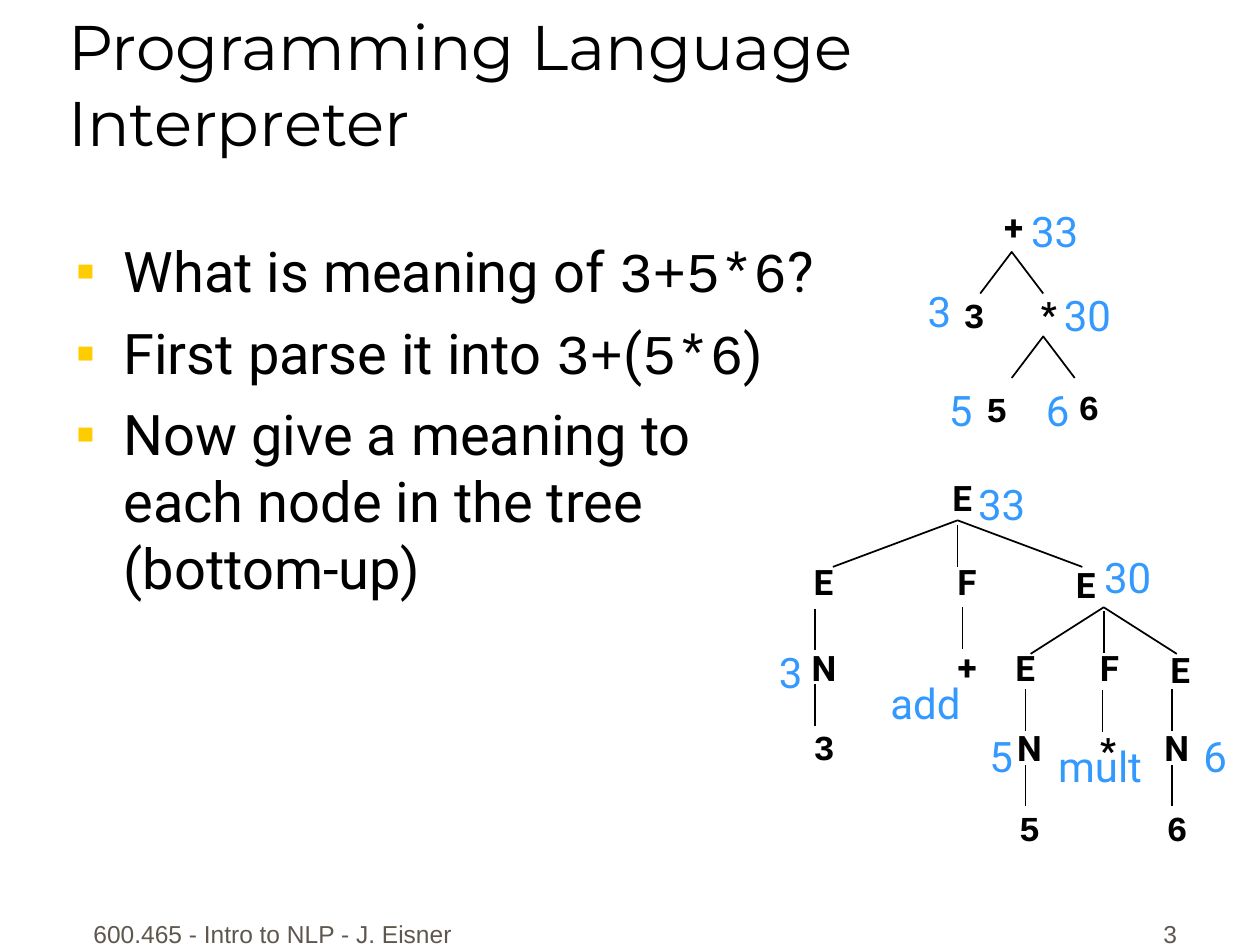
from dataclasses import dataclass

from lxml.etree import SubElement
from pptx import Presentation
from pptx.dml.color import RGBColor
from pptx.enum.shapes import MSO_CONNECTOR
from pptx.enum.text import MSO_ANCHOR, MSO_AUTO_SIZE, PP_ALIGN
from pptx.oxml.ns import qn
from pptx.util import Inches, Pt


@dataclass(frozen=True)
class Theme:
    ink: RGBColor = RGBColor(0x00, 0x00, 0x00)
    meaning: RGBColor = RGBColor(0x33, 0x99, 0xFF)
    footer: RGBColor = RGBColor(0x5E, 0x57, 0x4E)
    bullet: str = "FFCC00"
    title_font: str = "Montserrat"
    body_font: str = "Roboto"
    code_font: str = "Courier New"
    footer_font: str = "Arial"
    title_size: int = 36
    body_size: int = 32
    meaning_size: int = 24
    node_size: int = 20
    footer_size: int = 14


class TreeSlide:
    """Draws the lecture slide's text and parse trees in one theme."""

    def __init__(self, slide, theme):
        self.slide = slide
        self.theme = theme

    def style(self, run, font, size, color, bold=False):
        run.font.name = font
        run.font.size = Pt(size)
        run.font.color.rgb = color
        run.font.bold = bold

    def place(self, shape, left, top, width, height):
        shape.left, shape.top = Inches(left), Inches(top)
        shape.width, shape.height = Inches(width), Inches(height)

    def title(self, wording, *bounds):
        heading = self.slide.shapes.title
        self.place(heading, *bounds)
        frame = heading.text_frame
        frame.text = wording
        frame.vertical_anchor = MSO_ANCHOR.BOTTOM
        frame.auto_size = MSO_AUTO_SIZE.NONE
        line = frame.paragraphs[0]
        line.alignment = PP_ALIGN.LEFT
        self.style(line.runs[0], self.theme.title_font, self.theme.title_size, self.theme.ink)

    def bullets(self, points, *bounds):
        body = self.slide.placeholders[1]
        self.place(body, *bounds)
        frame = body.text_frame
        frame.auto_size = MSO_AUTO_SIZE.NONE
        frame.text = "\n".join("" for _ in points)
        for point, pieces in zip(frame.paragraphs, points):
            self.bullet(point)
            for index, piece in enumerate(pieces):
                font = self.theme.code_font if index % 2 else self.theme.body_font
                for row, wording in enumerate(piece.split("\n")):
                    if row:
                        point.add_line_break()
                    run = point.add_run()
                    run.text = wording
                    self.style(run, font, self.theme.body_size, self.theme.ink)

    def bullet(self, point):
        point.space_before = Pt(8)
        properties = point._p.get_or_add_pPr()
        properties.set("marL", str(Inches(0.38)))
        properties.set("indent", str(Inches(-0.38)))
        color = SubElement(properties, qn("a:buClr"))
        SubElement(color, qn("a:srgbClr"), val=self.theme.bullet)
        SubElement(properties, qn("a:buFont"), typeface="Arial")
        SubElement(properties, qn("a:buChar"), char="▪")

    def label(self, wording, left, top, width, height, font, size, color, bold=False):
        box = self.slide.shapes.add_textbox(*map(Inches, (left, top, width, height)))
        frame = box.text_frame
        frame.text = wording
        frame.word_wrap = False
        frame.auto_size = MSO_AUTO_SIZE.SHAPE_TO_FIT_TEXT
        line = frame.paragraphs[0]
        line.alignment = PP_ALIGN.CENTER
        self.style(line.runs[0], font, size, color, bold)
        return frame

    def node(self, symbol, left, top):
        font = self.theme.code_font if symbol.isdigit() else self.theme.body_font
        width = 0.42 if symbol == "N" else 0.35
        self.label(symbol, left, top, width, 0.44, font,
                   self.theme.node_size, self.theme.ink, True)

    def meaning(self, value, left, top):
        width = {1: 0.39, 2: 0.58, 3: 0.79, 4: 0.92}[len(value)]
        self.label(value, left, top, width, 0.5, self.theme.body_font,
                   self.theme.meaning_size, self.theme.meaning)

    def footer(self, wording, alignment, *bounds):
        frame = self.label(wording, *bounds, self.theme.footer_font,
                           self.theme.footer_size, self.theme.footer)
        frame.word_wrap = True
        frame.auto_size = MSO_AUTO_SIZE.NONE
        frame.vertical_anchor = MSO_ANCHOR.BOTTOM
        frame.paragraphs[0].alignment = alignment

    def branch(self, apex, top, reach, drop):
        pen = self.slide.shapes.build_freeform(Inches(apex - reach), Inches(top + drop))
        pen.add_line_segments(
            [(Inches(apex), Inches(top)), (Inches(apex + reach), Inches(top + drop))],
            close=False)
        fork = pen.convert_to_shape()
        fork.shadow.inherit = False
        fork.fill.background()
        fork.line.color.rgb = self.theme.ink
        fork.line.width = Pt(1)

    def stem(self, x, top):
        edge = self.slide.shapes.add_connector(
            MSO_CONNECTOR.STRAIGHT, Inches(x), Inches(top), Inches(x), Inches(top + 0.33))
        edge.line.color.rgb = self.theme.ink
        edge.line.width = Pt(1)
        SubElement(edge._element.spPr, qn("a:effectLst"))


POINTS = [
    ["What is meaning of ", "3+5*6", "?"],
    ["First parse it into ", "3+", "(", "5*6", ")"],
    ["Now give a meaning to\neach node in the tree\n(bottom-up)"],
]
EXPRESSION_NODES = [("+", 7.87, 1.58), ("3", 7.55, 2.28), ("*", 8.15, 2.27),
                    ("5", 7.73, 3.03), ("6", 8.46, 3.01)]
PARSE_NODES = [
    ("E", 7.46, 3.73), ("E", 6.36, 4.4), ("F", 7.5, 4.4), ("E", 8.44, 4.42),
    ("N", 6.33, 5.08), ("+", 7.5, 5.07), ("3", 6.36, 5.71),
    ("E", 7.96, 5.08), ("F", 8.63, 5.08), ("E", 9.19, 5.1),
    ("N", 7.96, 5.72), ("*", 8.62, 5.73), ("N", 9.13, 5.72),
    ("5", 7.99, 6.35), ("6", 9.16, 6.35),
]
BRANCHES = [(8.28, 2.67, 0.25, 0.33), (8.03, 2, 0.25, 0.33),
            (7.6, 4.13, 0.99, 0.37), (8.76, 4.82, 0.58, 0.37)]
STEMS = [(7.6, 4.17), (8.76, 4.85), (6.47, 4.83), (6.47, 5.43), (7.64, 4.82),
         (8.14, 5.47), (8.14, 6.07), (8.75, 5.48), (9.3, 5.47), (9.3, 6.07)]
MEANINGS = [
    ("3", 7.26, 2.22), ("5", 7.43, 3), ("6", 8.2, 3), ("30", 8.34, 2.25), ("33", 8.08, 1.58),
    ("3", 6.08, 5.08), ("5", 7.75, 5.75), ("6", 9.45, 5.75), ("30", 8.66, 4.33),
    ("33", 7.66, 3.75), ("add", 6.95, 5.33), ("mult", 8.27, 5.83),
]


def main():
    deck = Presentation()
    deck.slide_width, deck.slide_height = Inches(10), Inches(7.5)
    lecture = TreeSlide(deck.slides.add_slide(deck.slide_layouts[1]), Theme())
    lecture.footer("600.465 - Intro to NLP - J. Eisner", PP_ALIGN.CENTER, 0.58, 7.08, 3.17, 0.5)
    lecture.footer("3", PP_ALIGN.RIGHT, 7.36, 7.08, 2.08, 0.5)
    lecture.title("Programming Language Interpreter", 0.44, 0.06, 8.5, 1.25)
    lecture.bullets(POINTS, 0.5, 1.83, 8.94, 5.08)
    for symbol in EXPRESSION_NODES + PARSE_NODES:
        lecture.node(*symbol)
    for fork in BRANCHES:
        lecture.branch(*fork)
    for edge in STEMS:
        lecture.stem(*edge)
    for value in MEANINGS:
        lecture.meaning(*value)
    deck.save("out.pptx")


if __name__ == "__main__":
    main()
